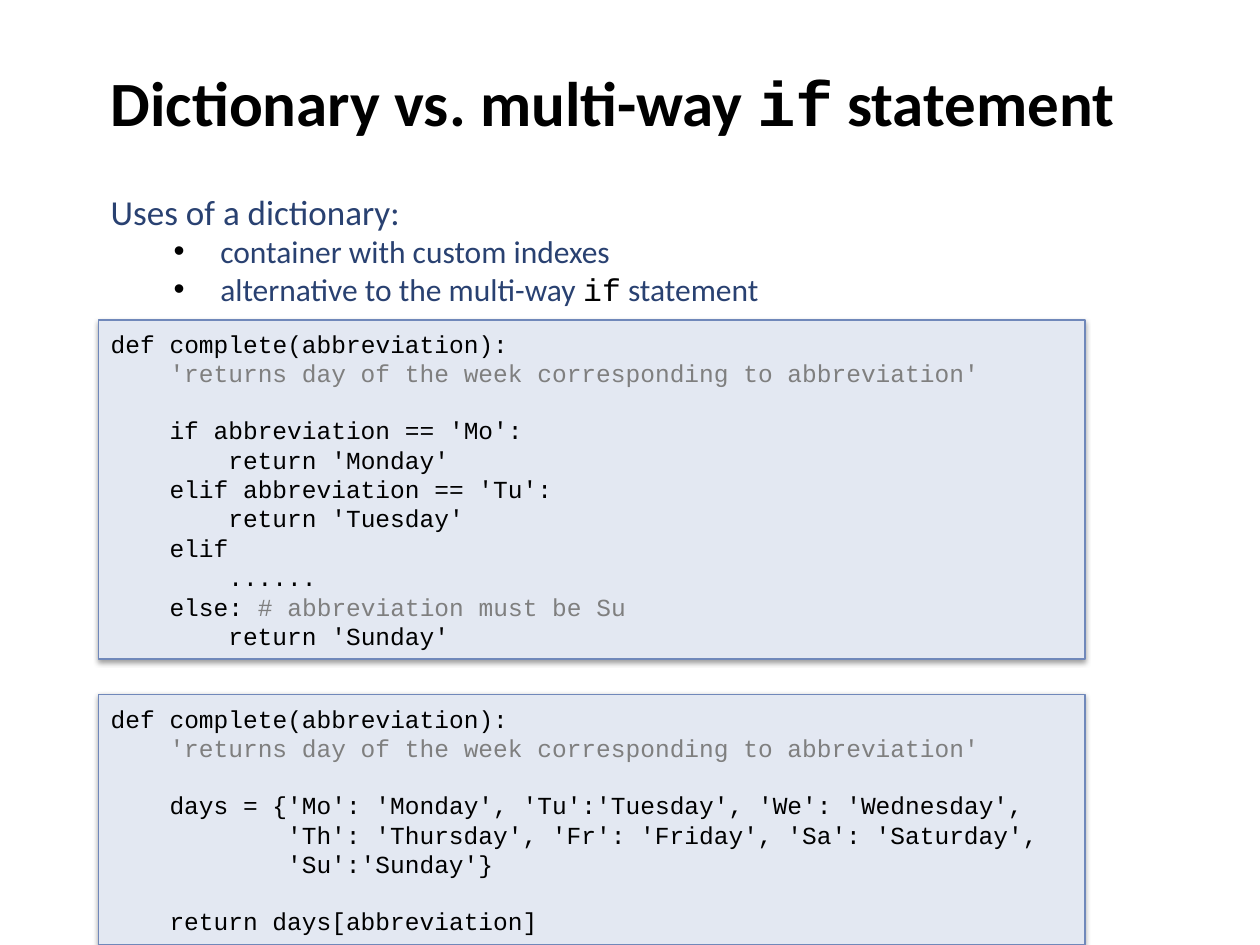
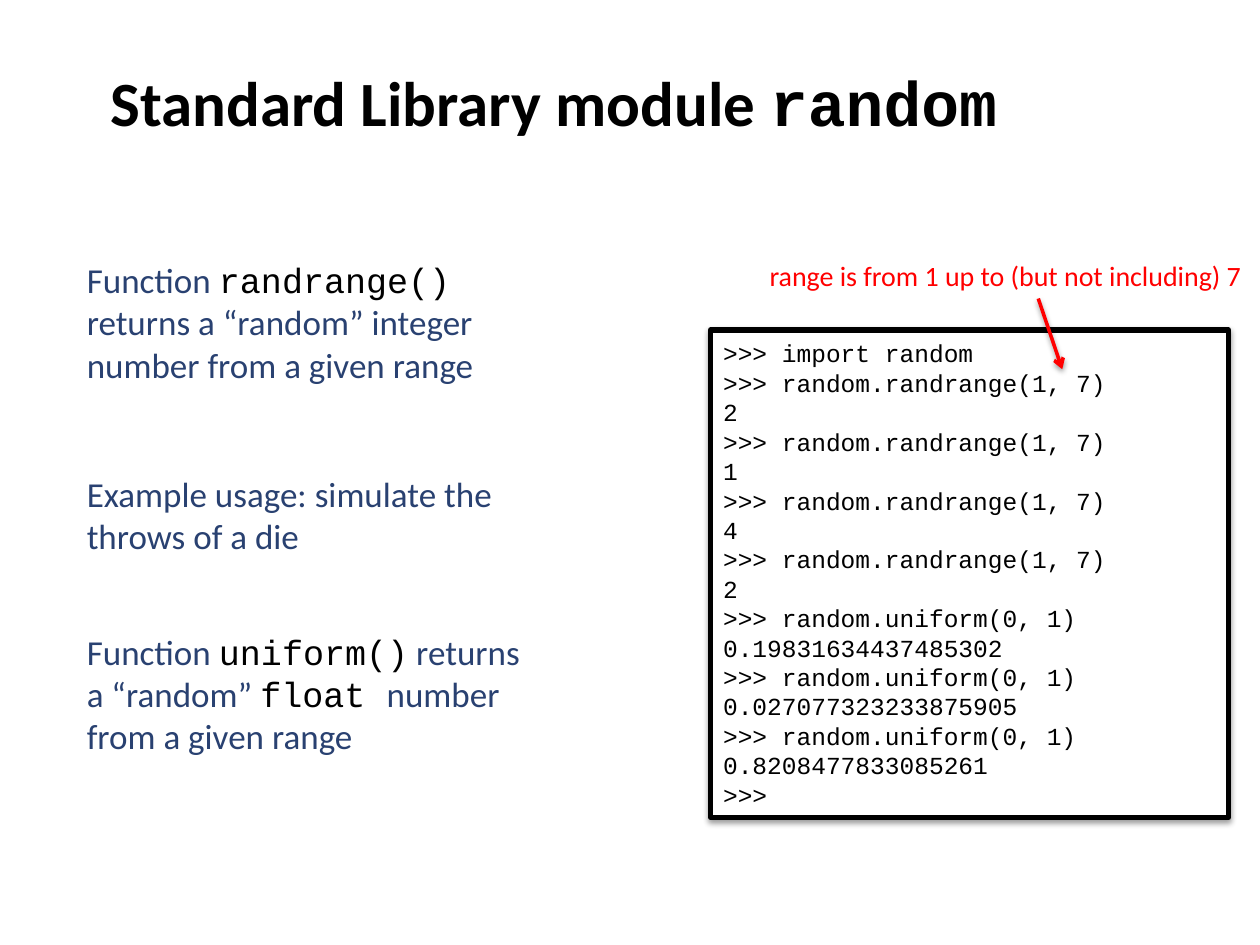
from dataclasses import dataclass

from lxml import etree
from pptx import Presentation
from pptx.dml.color import RGBColor
from pptx.enum.shapes import MSO_CONNECTOR, MSO_SHAPE
from pptx.enum.text import MSO_ANCHOR
from pptx.oxml.ns import qn
from pptx.util import Pt

BLACK = RGBColor(0x00, 0x00, 0x00)
WHITE = RGBColor(0xFF, 0xFF, 0xFF)
NAVY = RGBColor(0x29, 0x41, 0x71)
GREY = RGBColor(0x7F, 0x7F, 0x7F)
RED = RGBColor(0xFF, 0x00, 0x00)
PANEL_FILL = RGBColor(0xE3, 0xE8, 0xF2)
PANEL_LINE = RGBColor(0x70, 0x88, 0xBA)

RECTANGLE = MSO_SHAPE.RECTANGLE
STRAIGHT = MSO_CONNECTOR.STRAIGHT
MIDDLE = MSO_ANCHOR.MIDDLE
TOP = MSO_ANCHOR.TOP

BODY_FONT, CODE_FONT = "Calibri", "Courier New"
TITLE_SIZE, BODY_SIZE, BULLET_SIZE, NOTE_SIZE, CODE_SIZE = 36, 20, 18, 16, 14
CODE_CHAR_WIDTH = 8.4
CODE_LINE_HEIGHT = 15.86
BULLET_MARGIN, BULLET_HANG = 62.6, 26.6
LEFT = 56.2


@dataclass(frozen=True)
class Box:
    left: float
    top: float
    width: float
    height: float


@dataclass(frozen=True)
class Span:
    text: str
    size: float = BODY_SIZE
    color: RGBColor = NAVY
    font: str = BODY_FONT
    bold: bool = False


@dataclass(frozen=True)
class Para:
    spans: tuple[Span, ...]
    bullet: bool = False
    margin: float = 0
    space_before: float = 0


@dataclass(frozen=True)
class CodeLine:
    text: str = ""
    comment: str = ""
    indent: int = 0
    gap: bool = False


@dataclass(frozen=True)
class PanelStyle:
    fill: RGBColor
    line: RGBColor
    weight: float


TINTED = PanelStyle(PANEL_FILL, PANEL_LINE, 0.75)
SHELL = PanelStyle(WHITE, BLACK, 3)


def code(text: str, size: float = BODY_SIZE, bold: bool = False) -> Span:
    """Black monospaced span."""
    return Span(text, size, BLACK, CODE_FONT, bold)


def title_text(text: str) -> Span:
    return Span(text, TITLE_SIZE, BLACK, bold=True)


def code_para(line: CodeLine) -> Para:
    """Turn a line of code into a paragraph, with its indent as a margin."""
    spans = (code(line.text, CODE_SIZE), Span(line.comment, CODE_SIZE, GREY, CODE_FONT))
    return Para(
        tuple(span for span in spans if span.text),
        margin=line.indent * CODE_CHAR_WIDTH,
        space_before=CODE_LINE_HEIGHT if line.gap else 0,
    )


def fill_text(shape, paras: list[Para], anchor=MIDDLE, wrap: bool = True) -> None:
    frame = shape.text_frame
    frame.word_wrap = wrap
    frame.vertical_anchor = anchor
    for index, item in enumerate(paras):
        para = frame.paragraphs[0] if index == 0 else frame.add_paragraph()
        para.space_before = Pt(item.space_before)
        properties = para._p.get_or_add_pPr()
        properties.set("algn", "l")
        properties.set("marL", str(Pt(item.margin)))
        if item.bullet:
            properties.set("marL", str(Pt(BULLET_MARGIN)))
            properties.set("indent", str(-Pt(BULLET_HANG)))
            color = etree.SubElement(properties, qn("a:buClr"))
            etree.SubElement(color, qn("a:srgbClr"), val=str(BLACK))
            etree.SubElement(properties, qn("a:buFont"), typeface="Arial")
            etree.SubElement(properties, qn("a:buChar"), char="•")
        for span in item.spans:
            run = para.add_run()
            run.text = span.text
            run.font.name = span.font
            run.font.size = Pt(span.size)
            run.font.bold = span.bold
            run.font.color.rgb = span.color


def add_text(page, box: Box, paras: list[Para], anchor=MIDDLE, wrap: bool = True) -> None:
    shape = page.shapes.add_textbox(Pt(box.left), Pt(box.top), Pt(box.width), Pt(box.height))
    fill_text(shape, paras, anchor, wrap)


def add_title(page, *spans: Span) -> None:
    add_text(page, Box(LEFT, 0, 612, 116), [Para(spans)])


def add_shadow(shape) -> None:
    """Soft shadow falling straight down."""
    effects = etree.SubElement(shape._element.spPr, qn("a:effectLst"))
    shadow = etree.SubElement(
        effects, qn("a:outerShdw"), blurRad=str(Pt(3.1)), dist=str(Pt(1.6)),
        dir="5400000", rotWithShape="0",
    )
    color = etree.SubElement(shadow, qn("a:srgbClr"), val=str(BLACK))
    etree.SubElement(color, qn("a:alpha"), val="38000")


def add_code_panel(page, box: Box, style: PanelStyle, lines: list[CodeLine]) -> None:
    panel = page.shapes.add_shape(
        RECTANGLE, Pt(box.left), Pt(box.top), Pt(box.width), Pt(box.height)
    )
    panel.fill.solid()
    panel.fill.fore_color.rgb = style.fill
    panel.line.color.rgb = style.line
    panel.line.width = Pt(style.weight)
    add_shadow(panel)
    fill_text(panel, [code_para(line) for line in lines])


def add_arrow(page, start: tuple[float, float], end: tuple[float, float]) -> None:
    arrow = page.shapes.add_connector(
        STRAIGHT, Pt(start[0]), Pt(start[1]), Pt(end[0]), Pt(end[1])
    )
    arrow.line.color.rgb = RED
    arrow.line.width = Pt(2)
    etree.SubElement(arrow._element.spPr.find(qn("a:ln")), qn("a:tailEnd"), type="arrow")
    add_shadow(arrow)


def build_dictionary_page(page) -> None:
    add_title(page, title_text("Dictionary vs. multi-way "),
              code("if", TITLE_SIZE, bold=True), title_text(" statement"))

    # Two versions of the same function
    header = [
        CodeLine("def complete(abbreviation):"),
        CodeLine(comment="'returns day of the week corresponding to abbreviation'", indent=4),
    ]
    add_code_panel(page, Box(LEFT, 182.9, 563.8, 193.7), TINTED, header + [
        CodeLine("if abbreviation == 'Mo':", indent=4, gap=True),
        CodeLine("return 'Monday'", indent=8),
        CodeLine("elif abbreviation == 'Tu':", indent=4),
        CodeLine("return 'Tuesday'", indent=8),
        CodeLine("elif", indent=4),
        CodeLine("......", indent=8),
        CodeLine("else: ", "# abbreviation must be Su", indent=4),
        CodeLine("return 'Sunday'", indent=8),
    ])
    add_code_panel(page, Box(LEFT, 396.7, 563.8, 143.3), TINTED, header + [
        CodeLine("days = {'Mo': 'Monday', 'Tu':'Tuesday', 'We': 'Wednesday',", indent=4, gap=True),
        CodeLine("'Th': 'Thursday', 'Fr': 'Friday', 'Sa': 'Saturday',", indent=12),
        CodeLine("'Su':'Sunday'}", indent=12),
        CodeLine("return days[abbreviation]", indent=4, gap=True),
    ])

    # Uses
    add_text(page, Box(LEFT, 105.1, 391, 97.2), [
        Para((Span("Uses of a dictionary:"),)),
        Para((Span("container with custom indexes", BULLET_SIZE),), bullet=True),
        Para((Span("alternative to the multi-way ", BULLET_SIZE), code("if", BULLET_SIZE),
              Span(" statement", BULLET_SIZE)), bullet=True),
    ], anchor=TOP, wrap=False)


def build_random_page(page) -> None:
    # Interactive session: each call with its result
    calls = [("randrange(1, 7)", result) for result in ("2", "1", "4", "2")]
    calls += [("uniform(0, 1)", result) for result in (
        "0.19831634437485302", "0.027077323233875905", "0.8208477833085261")]
    session = [CodeLine(">>> import random")]
    for call, result in calls:
        session += [CodeLine(f">>> random.{call}"), CodeLine(result)]
    session.append(CodeLine(">>>"))
    add_code_panel(page, Box(406.1, 188.6, 295.9, 278.6), SHELL, session)

    add_title(page, title_text("Standard Library module "),
              code("random", TITLE_SIZE, bold=True))

    # Explanations: top, height and spans
    explanations = [
        (144, 80, (Span("Function "), code("randrange()"),
                   Span(" returns a “random” integer number from a given range"))),
        (266.4, 55.4, (Span("Example usage: simulate the throws of a die"),)),
        (356.4, 80, (Span("Function "), code("uniform()"), Span(" returns a “random” "),
                     code("float "), Span("number from a given range"))),
    ]
    for top, height, spans in explanations:
        add_text(page, Box(42.5, top, 272.9, height), [Para(spans)])

    # Note on the range
    add_arrow(page, (593.3, 170.6), (607, 211))
    add_text(page, Box(432.7, 144, 288, 26.6),
             [Para((Span("range is from 1 up to (but not including) 7", NOTE_SIZE, RED),))],
             wrap=False)


def main() -> None:
    deck = Presentation()
    deck.slide_width, deck.slide_height = Pt(720), Pt(540)
    blank = deck.slide_layouts[6]
    for build in (build_dictionary_page, build_random_page):
        build(deck.slides.add_slide(blank))
    deck.save("out.pptx")


if __name__ == "__main__":
    main()
